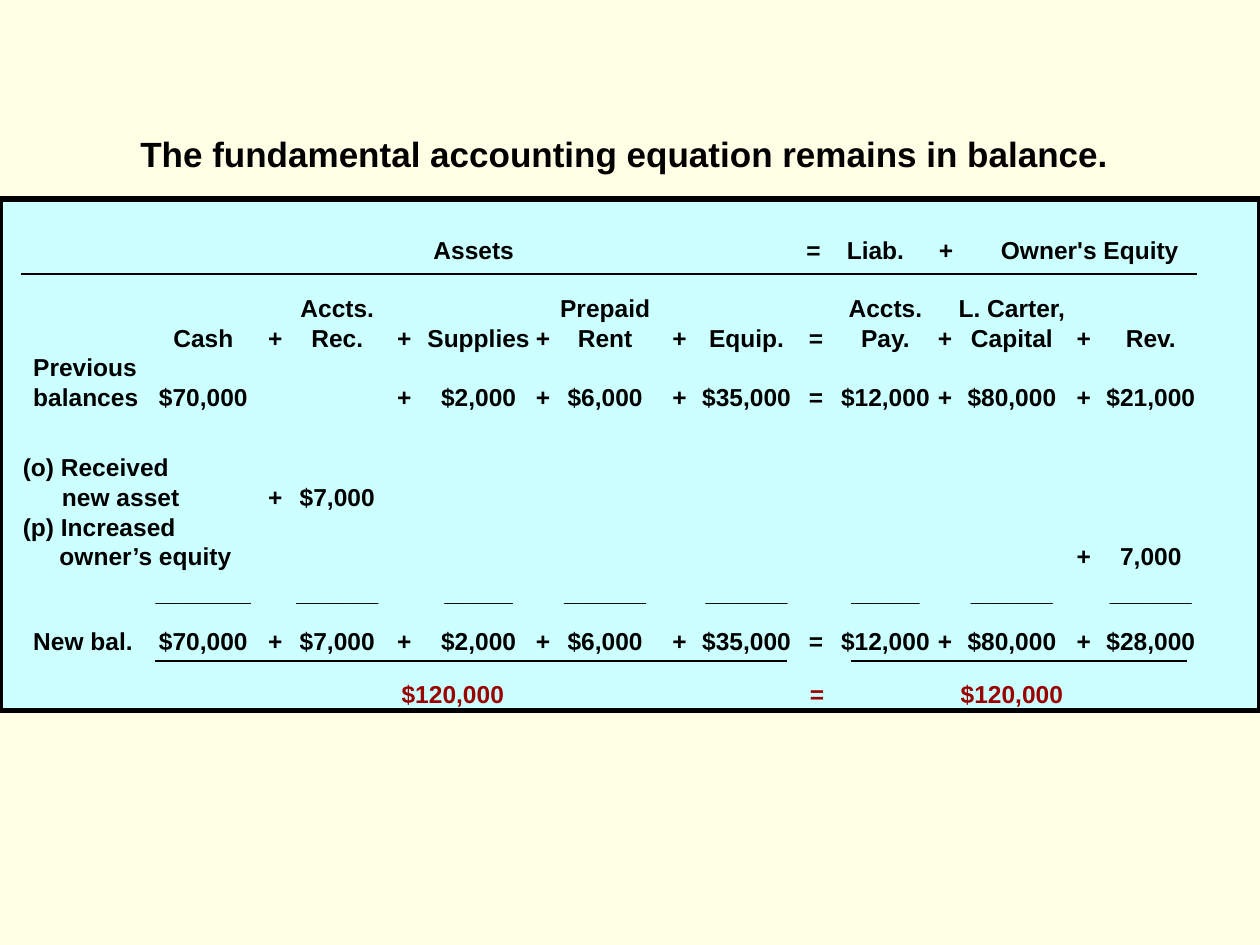
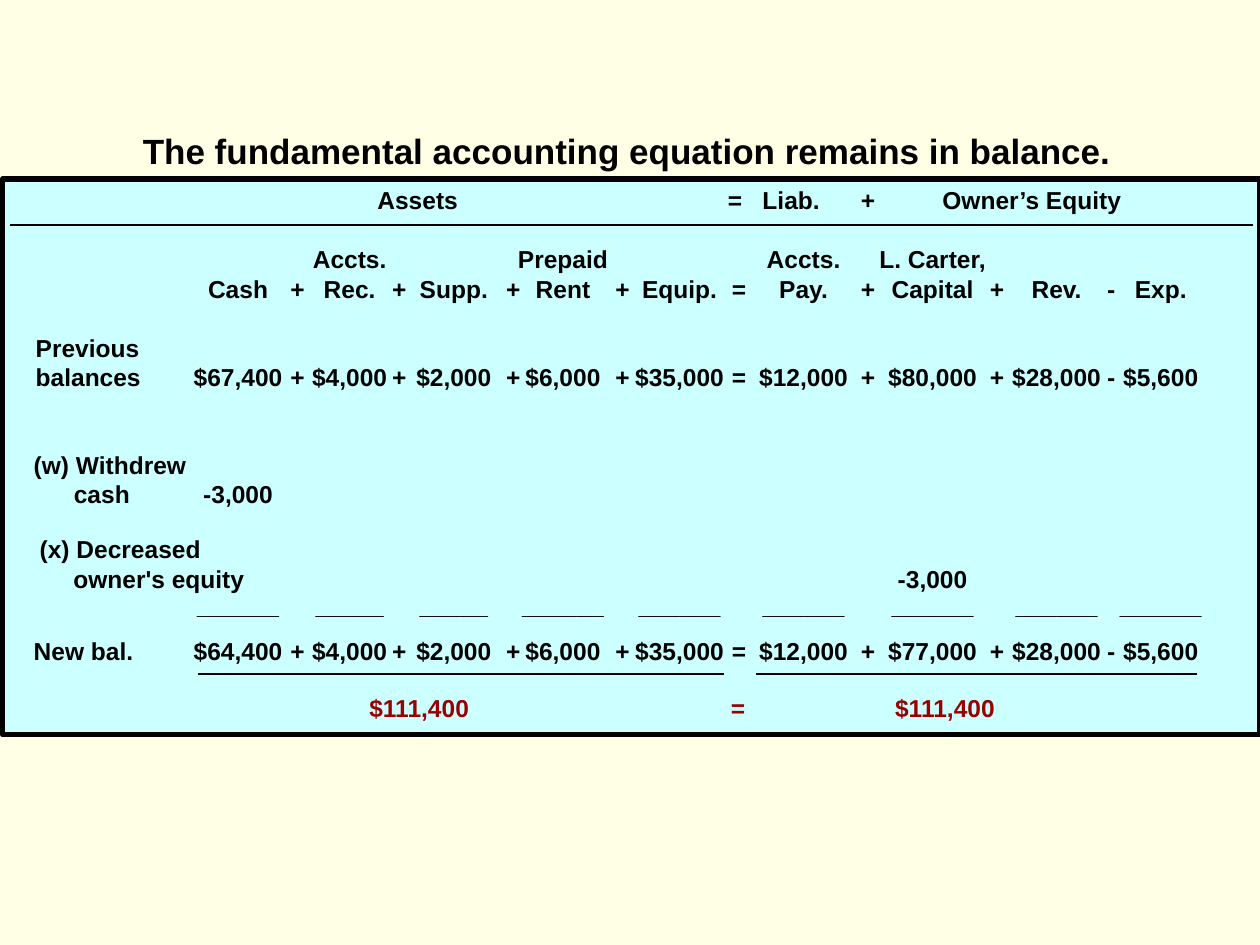
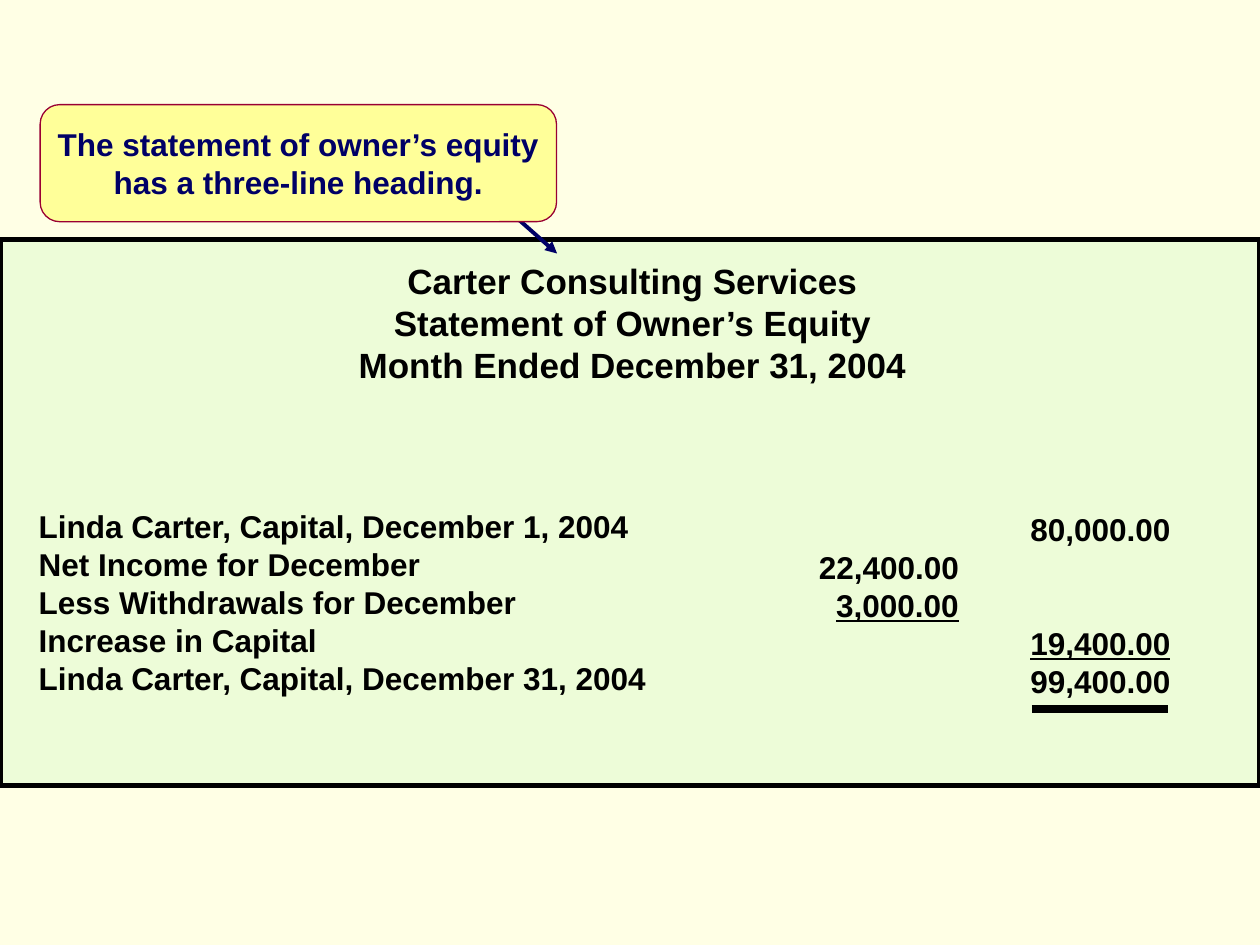
from dataclasses import dataclass, field

from lxml.etree import SubElement
from pptx import Presentation
from pptx.dml.color import RGBColor
from pptx.enum.shapes import MSO_CONNECTOR, MSO_SHAPE
from pptx.enum.text import MSO_ANCHOR, MSO_AUTO_SIZE, PP_ALIGN
from pptx.oxml.ns import qn
from pptx.util import Cm, Pt

FONT = "Arial"
BLACK = "000000"
CREAM = "FFFFE5"
AQUA = "CCFFFF"
MINT = "EDFCD8"
YELLOW = "FFFF99"
NAVY = "000066"
CRIMSON = "990033"
TOTAL_RED = "990000"
LINE_FACTOR = 1.2
INSET = 0.25
BALANCE_TITLE = "The fundamental accounting equation remains in balance."


@dataclass
class Line:
    text: str
    gap: float = 0
    stops: list = field(default_factory=list)
    underlined: bool = False


@dataclass
class Ledger:
    centres: list
    operators: list

    def cells(self, amounts, with_operators=True):
        found = []
        for index, amount in enumerate(amounts):
            if not amount:
                continue
            if index and with_operators:
                found.append((self.centres[2 * index - 1], self.operators[index - 1]))
            found.append((self.centres[2 * index], amount))
        return found

    def at(self, account, amount):
        return [(self.centres[2 * account], amount)]


def rgb(value):
    return RGBColor.from_string(value)


def tabbed(left, cells, label=None, gap=0):
    stops = [(x - left, "ctr") for x, _ in cells]
    words = [text for _, text in cells]
    if label:
        label_x, label_text = label
        stops.insert(0, (label_x - left, "l"))
        words.insert(0, label_text)
    return Line("".join("\t" + word for word in words), gap, stops)


def write_lines(frame, lines, size, color=BLACK, align=PP_ALIGN.LEFT):
    for index, line in enumerate(lines):
        para = frame.add_paragraph() if index else frame.paragraphs[0]
        para.text = line.text
        para.alignment = align
        para.line_spacing = Pt(size * LINE_FACTOR)
        para.space_before = Pt(line.gap)
        if line.stops:
            tab_list = SubElement(para._p.get_or_add_pPr(), qn("a:tabLst"))
            for position, kind in line.stops:
                SubElement(tab_list, qn("a:tab"), pos=str(Cm(position)), algn=kind)
        for span in para.runs:
            span.font.name = FONT
            span.font.size = Pt(size)
            span.font.bold = True
            span.font.color.rgb = rgb(color)
            if line.underlined:
                span.font.underline = True


def set_frame(frame, side=INSET, top=0.13, anchor=MSO_ANCHOR.TOP, wrap=True):
    frame.auto_size = MSO_AUTO_SIZE.NONE
    frame.word_wrap = wrap
    frame.vertical_anchor = anchor
    frame.margin_left = frame.margin_right = Cm(side)
    frame.margin_top = Cm(top)
    frame.margin_bottom = Cm(0.13)


def add_title(page, lines, left, top, width, height):
    title = page.shapes.title
    title.left, title.top = Cm(left), Cm(top)
    title.width, title.height = Cm(width), Cm(height)
    set_frame(title.text_frame)
    write_lines(title.text_frame, [Line(text) for text in lines], 20, align=PP_ALIGN.CENTER)
    title.element.getparent().append(title.element)


def add_filled(page, kind, place, fill, outline, weight):
    shape = page.shapes.add_shape(kind, *map(Cm, place))
    shape.shadow.inherit = False
    shape.fill.solid()
    shape.fill.fore_color.rgb = rgb(fill)
    shape.line.color.rgb = rgb(outline)
    shape.line.width = Pt(weight)
    return shape


def add_panel(page, place, fill, lines, size, side=0, top=0.13):
    panel = add_filled(page, MSO_SHAPE.RECTANGLE, place, fill, BLACK, 3)
    set_frame(panel.text_frame, side, top)
    write_lines(panel.text_frame, lines, size)


def add_lines_box(page, place, lines, size=14, color=BLACK, side=0, top=0.13):
    box = page.shapes.add_textbox(*map(Cm, place))
    set_frame(box.text_frame, side, top)
    write_lines(box.text_frame, lines, size, color)


def add_rule(page, start, end, weight=1, color=BLACK, arrow=False):
    rule = page.shapes.add_connector(MSO_CONNECTOR.STRAIGHT, *map(Cm, start + end))
    rule.line.color.rgb = rgb(color)
    rule.line.width = Pt(weight)
    if arrow:
        SubElement(rule.line._get_or_add_ln(), qn("a:tailEnd"), type="triangle")
    SubElement(rule.element.spPr, qn("a:effectLst"))


def add_level_rules(page, rules):
    for left, right, y in rules:
        add_rule(page, (left, y), (right, y))


def build_revenue_page(page):
    ledger = Ledger(
        [4.1, 5.55, 6.8, 8.15, 9.65, 10.95, 12.2, 13.7, 15.05, 16.45,
         17.85, 19.05, 20.4, 21.85, 23.2],
        ["+", "+", "+", "+", "=", "+", "+"])
    blanks = [7, 6, 5, 6, 6, 5, 6, 6]
    add_panel(page, (0, 4.01, 25.4, 10.31), AQUA, [
        tabbed(0, [(9.55, "Assets"), (16.4, "="), (17.65, "Liab."), (19.07, "+"),
                   (21.97, "Owner's Equity")]),
        tabbed(0, ledger.cells(["", "Accts.", "", "Prepaid", "", "Accts.", "L. Carter,"], False),
               gap=16.8),
        tabbed(0, ledger.cells(["Cash", "Rec.", "Supplies", "Rent", "Equip.", "Pay.",
                                "Capital", "Rev."])),
        tabbed(0, [], (0.67, "Previous")),
        tabbed(0, ledger.cells(["$70,000", "", "$2,000", "$6,000", "$35,000", "$12,000",
                                "$80,000", "$21,000"]), (0.67, "balances")),
        tabbed(0, ledger.cells(["_" * count for count in blanks], False), gap=95),
    ], 14, top=0.72)
    add_lines_box(page, (0.2, 8.99, 8.46, 1.45), [
        tabbed(0.2, [], (0.46, "(o) Received")),
        tabbed(0.2, ledger.cells(["", "$7,000"]), (1.25, "new asset"))])
    add_lines_box(page, (0.2, 10.19, 25.2, 1.45), [
        tabbed(0.2, [], (0.46, "(p) Increased")),
        tabbed(0.2, ledger.cells([""] * 7 + ["7,000"]), (1.2, "owner’s equity"))])
    add_lines_box(page, (0.43, 12.5, 24.97, 0.86), [
        tabbed(0.43, ledger.cells(["$70,000", "$7,000", "$2,000", "$6,000", "$35,000",
                                   "$12,000", "$80,000", "$28,000"]), (0.67, "New bal."))])
    add_lines_box(page, (7.85, 13.56, 15.54, 0.86), [
        tabbed(7.85, [(9.13, "$120,000"), (16.47, "="), (20.4, "$120,000")])],
        color=TOTAL_RED)
    add_level_rules(page, [(0.43, 24.13, 5.52), (17.15, 23.92, 13.33), (3.13, 15.87, 13.33)])
    add_title(page, [BALANCE_TITLE], 0.89, 2.54, 23.4, 1.12)


def build_withdrawal_page(page):
    ledger = Ledger(
        [4.8, 6, 7.05, 8.05, 9.15, 10.35, 11.35, 12.55, 13.7, 14.9,
         16.2, 17.5, 18.8, 20.1, 21.3, 22.4, 23.4],
        ["+", "+", "+", "+", "=", "+", "+", "-"])
    blanks = [6, 5, 5, 6, 6, 6, 6, 6, 6]
    add_panel(page, (0.05, 3.61, 25.35, 11.2), AQUA, [
        tabbed(0.05, [(8.42, "Assets"), (14.82, "="), (15.95, "Liab."), (17.5, "+"),
                      (20.8, "Owner’s Equity")]),
        tabbed(0.05, ledger.cells(["", "Accts.", "", "Prepaid", "", "Accts.", "L. Carter,"],
                                  False), gap=16.8),
        tabbed(0.05, ledger.cells(["Cash", "Rec.", "Supp.", "Rent", "Equip.", "Pay.",
                                   "Capital", "Rev.", "Exp."])),
        tabbed(0.05, [], (0.72, "Previous"), gap=16.8),
        tabbed(0.05, ledger.cells(["$67,400", "$4,000", "$2,000", "$6,000", "$35,000",
                                   "$12,000", "$80,000", "$28,000", "$5,600"]),
               (0.72, "balances")),
        tabbed(0.05, ledger.cells(["_" * count for count in blanks], False), gap=113.5),
    ], 14)
    add_lines_box(page, (0.43, 8.94, 9.09, 1.45), [
        tabbed(0.43, [], (0.68, "(w) Withdrew")),
        tabbed(0.43, ledger.at(0, "-3,000"), (1.49, "cash"))])
    add_lines_box(page, (0.53, 10.64, 22.23, 1.45), [
        tabbed(0.53, [], (0.8, "(x) Decreased")),
        tabbed(0.53, ledger.at(6, "-3,000"), (1.48, "owner's equity"))])
    add_lines_box(page, (0.43, 12.7, 24.97, 0.86), [
        tabbed(0.43, ledger.cells(["$64,400", "$4,000", "$2,000", "$6,000", "$35,000",
                                   "$12,000", "$77,000", "$28,000", "$5,600"]),
               (0.68, "New bal."))])
    add_lines_box(page, (7.19, 13.84, 15.88, 0.86), [
        tabbed(7.19, [(8.45, "$111,400"), (14.88, "="), (19.05, "$111,400")])],
        color=TOTAL_RED)
    add_level_rules(page, [(0.2, 25.25, 4.54), (15.24, 24.13, 13.59), (3.99, 14.6, 13.59)])
    add_title(page, [BALANCE_TITLE], 0.94, 2.49, 23.4, 1.12)


def build_statement_page(page):
    add_panel(page, (0, 4.83, 25.4, 11), MINT, [Line(text) for text in [
        "Linda Carter, Capital, December 1, 2004",
        "Net Income for December",
        "Less Withdrawals for December",
        "Increase in Capital",
        "Linda Carter, Capital, December 31, 2004",
    ]], 18, side=0.78, top=5.4)
    add_lines_box(page, (16.26, 10.16, 3.63, 2.54), [
        Line("22,400.00"),
        Line("\t3,000.00", stops=[(2.82, "r")], underlined=True),
    ], 18, side=INSET, top=0.89)
    add_lines_box(page, (20.52, 10.16, 3.63, 4.06), [
        Line("80,000.00"),
        Line("19,400.00", gap=43.2, underlined=True),
        Line("99,400.00"),
    ], 18, side=INSET)
    add_rule(page, (20.8, 14.3), (23.55, 14.3), 4.5)
    add_title(page, ["Carter Consulting Services", "Statement of Owner’s Equity",
                     "Month Ended December 31, 2004"], 2.59, 5.11, 20.32, 2.79)
    add_rule(page, (9.53, 3.61), (11.23, 5.11), 2.25, NAVY, arrow=True)
    callout = add_filled(page, MSO_SHAPE.ROUNDED_RECTANGLE, (0.81, 2.11, 10.41, 2.36),
                         YELLOW, CRIMSON, 0.75)
    set_frame(callout.text_frame, anchor=MSO_ANCHOR.MIDDLE, wrap=False)
    write_lines(callout.text_frame, [Line("The statement of owner’s equity"),
                                     Line("has a three-line heading.")],
                18, NAVY, PP_ALIGN.CENTER)


def main():
    deck = Presentation()
    deck.slide_width, deck.slide_height = Cm(25.4), Cm(19.05)
    backdrop = deck.slide_master.background.fill
    backdrop.solid()
    backdrop.fore_color.rgb = rgb(CREAM)
    title_only = deck.slide_layouts.get_by_name("Title Only")
    for build in (build_revenue_page, build_withdrawal_page, build_statement_page):
        build(deck.slides.add_slide(title_only))
    deck.save("out.pptx")


if __name__ == "__main__":
    main()
